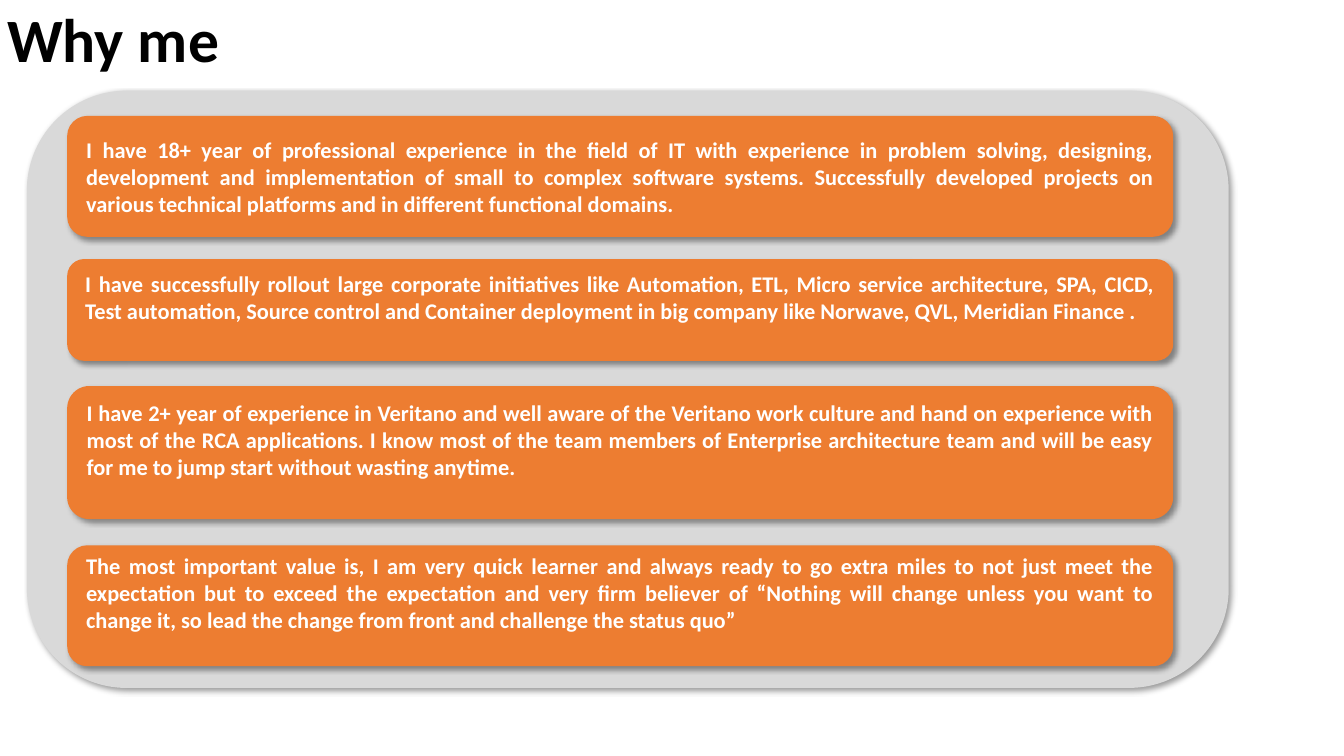
from dataclasses import dataclass

from lxml import etree
from pptx import Presentation
from pptx.dml.color import RGBColor
from pptx.enum.shapes import MSO_SHAPE
from pptx.enum.text import MSO_ANCHOR, PP_ALIGN
from pptx.oxml.ns import qn
from pptx.util import Inches, Pt

ROUND = MSO_SHAPE.ROUNDED_RECTANGLE
MIDDLE = MSO_ANCHOR.MIDDLE
LEFT, JUSTIFY = PP_ALIGN.LEFT, PP_ALIGN.JUSTIFY


@dataclass(frozen=True)
class Theme:
    font: str = "Calibri"
    ink: str = "000000"
    light: str = "FFFFFF"
    panel: str = "D9D9D9"
    card: str = "ED7D31"
    head: int = 44
    body: int = 16


THEME = Theme()
WIDTH, HEIGHT = 13.33, 7.5
PAD = 0.13   # inner margin of a card
LIFT = 0.26  # bottom margin that raises the text of a card

TITLE = "Why me"
# Top and height inside the panel, whether the text is raised, wording
CARDS = [
    (0.25, 1.2, False,
     "I have 18+ year of professional experience in the field of IT with "
     "experience in problem solving, designing, development and "
     "implementation of small to complex software systems. Successfully "
     "developed projects on various technical platforms and in different "
     "functional domains."),
    (1.67, 1.01, True,
     "I have successfully rollout large corporate initiatives like "
     "Automation, ETL, Micro service architecture, SPA, CICD, Test "
     "automation, Source control and Container deployment in big company "
     "like Norwave, QVL, Meridian Finance ."),
    (2.93, 1.32, True,
     "I have 2+ year of experience in Veritano and well aware of the "
     "Veritano work culture and hand on experience with most of the RCA "
     "applications. I know most of the team members of Enterprise "
     "architecture team and will be easy for me to jump start without "
     "wasting anytime."),
    (4.51, 1.2, True,
     "The most important value is, I am very quick learner and always ready "
     "to go extra miles to not just meet the expectation but to exceed the "
     "expectation and very firm believer of “Nothing will change unless you "
     "want to change it, so lead the change from front and challenge the "
     "status quo”"),
]


def assign(item, values):
    for name, value in values.items():
        setattr(item, name, value)


def place(shape, box):
    names = ("left", "top", "width", "height")
    assign(shape, dict(zip(names, map(Inches, box))))


def write(frame, text, size, color, align, **spacing):
    para = frame.paragraphs[0]
    assign(para, {"alignment": align, **spacing})
    run = para.add_run()
    run.text = text
    assign(run.font, {"name": THEME.font, "size": Pt(size), "bold": True})
    run.font.color.rgb = RGBColor.from_string(color)


def shade(shape):
    """Soft shadow towards the lower right."""
    shape.shadow.inherit = False
    effects = shape._element.spPr.find(qn("a:effectLst"))
    outer = etree.SubElement(
        effects, qn("a:outerShdw"), blurRad=str(Pt(4)), dist=str(Pt(3)),
        dir=str(45 * 60000), algn="tl", rotWithShape="0")
    black = etree.SubElement(outer, qn("a:srgbClr"), val=THEME.ink)
    etree.SubElement(black, qn("a:alpha"), val="40000")


def plate(slide, box, color):
    shape = slide.shapes.add_shape(ROUND, *map(Inches, box))
    shape.fill.solid()
    shape.fill.fore_color.rgb = RGBColor.from_string(color)
    shape.line.fill.background()
    shade(shape)
    return shape


def heading(slide, box):
    title = slide.shapes.title
    place(title, box)
    assign(title.text_frame, {"vertical_anchor": MIDDLE, "word_wrap": True})
    write(title.text_frame, TITLE, THEME.head, THEME.ink, LEFT,
          line_spacing=0.9)


def card(slide, box, text, lifted):
    frame = plate(slide, box, THEME.card).text_frame
    pad = Inches(PAD)
    assign(frame, {
        "word_wrap": True, "vertical_anchor": MIDDLE,
        "margin_left": pad, "margin_right": pad,
        "margin_top": 0 if lifted else pad,
        "margin_bottom": Inches(LIFT) if lifted else pad})
    write(frame, text, THEME.body, THEME.light, JUSTIFY,
          space_before=Pt(0.2 * THEME.body))


def panel(slide, box):
    left, top, width, height = box
    plate(slide, box, THEME.panel)
    for drop, tall, lifted, text in CARDS:
        area = (left + 0.4, top + drop, width - 0.95, tall)
        card(slide, area, text, lifted)


def main():
    deck = Presentation()
    assign(deck, {"slide_width": Inches(WIDTH),
                  "slide_height": Inches(HEIGHT)})
    slide = deck.slides.add_slide(deck.slide_layouts[5])
    # Title at the top left, panel with cards below
    heading(slide, (-0.03, -0.04 * HEIGHT, 11.5, 1.45))
    panel(slide, (0.02 * WIDTH, 0.12 * HEIGHT, 11.92, 0.79 * HEIGHT))
    deck.save("out.pptx")


if __name__ == "__main__":
    main()
